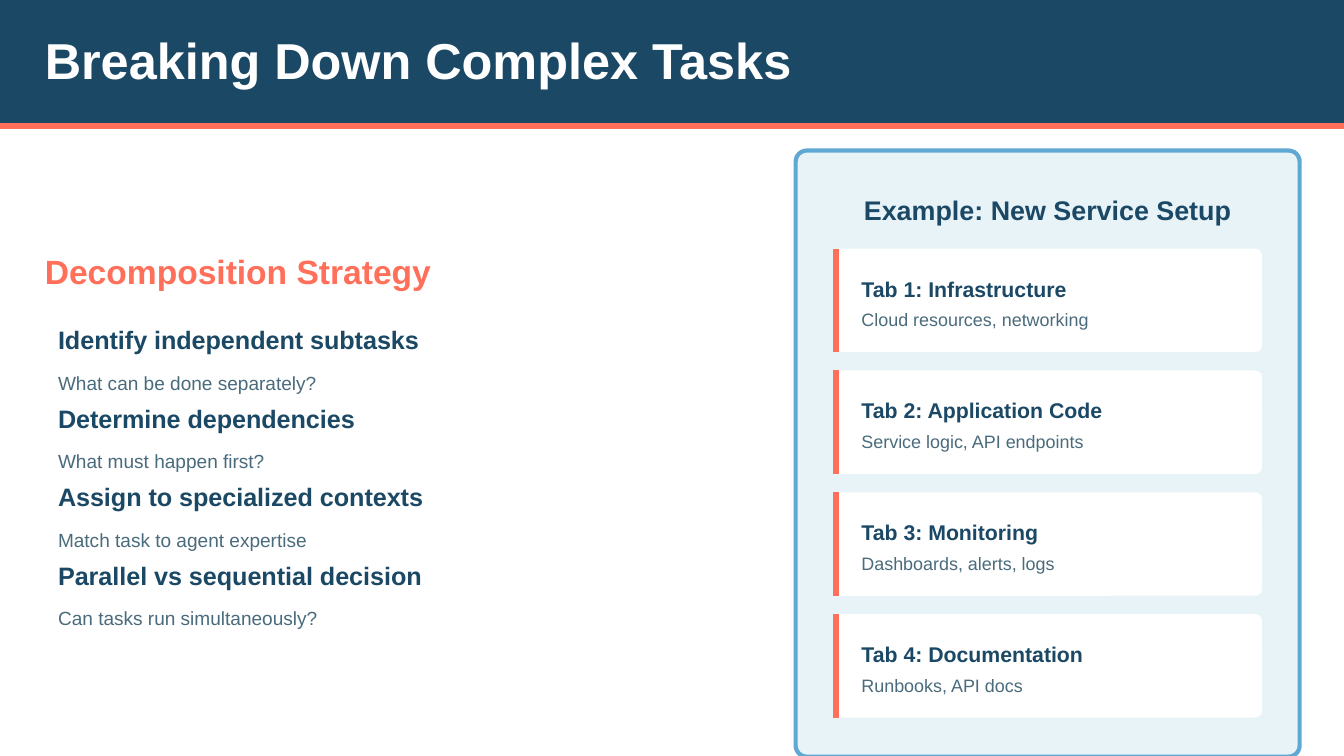
from lxml.etree import SubElement
from pptx import Presentation
from pptx.dml.color import RGBColor
from pptx.enum.shapes import MSO_CONNECTOR, MSO_SHAPE
from pptx.enum.text import PP_ALIGN
from pptx.oxml.ns import qn
from pptx.util import Inches, Pt

NAVY = RGBColor(0x1B, 0x49, 0x65)
CORAL = RGBColor(0xFF, 0x6F, 0x59)
SLATE = RGBColor(0x4A, 0x6B, 0x7C)
SKY = RGBColor(0x5F, 0xA8, 0xD3)
PALE = RGBColor(0xE8, 0xF3, 0xF8)
WHITE = RGBColor(0xFF, 0xFF, 0xFF)
FONT = "Arial"

TITLE = "Breaking Down Complex Tasks"
STRATEGY_TITLE = "Decomposition Strategy"
STRATEGY = [
    ("Identify independent subtasks", "What can be done separately?"),
    ("Determine dependencies", "What must happen first?"),
    ("Assign to specialized contexts", "Match task to agent expertise"),
    ("Parallel vs sequential decision", "Can tasks run simultaneously?"),
]
EXAMPLE_TITLE = "Example: New Service Setup"
TABS = [
    ("Tab 1: Infrastructure", "Cloud resources, networking"),
    ("Tab 2: Application Code", "Service logic, API endpoints"),
    ("Tab 3: Monitoring", "Dashboards, alerts, logs"),
    ("Tab 4: Documentation", "Runbooks, API docs"),
]

WIDTH = 10
HEIGHT = WIDTH * 9 / 16
MARGIN = WIDTH / 30
PANEL_LEFT, PANEL_TOP, PANEL_WIDTH, PANEL_HEIGHT = 5.92, 1.12, 3.75, 4.51
CARD_LEFT, CARD_WIDTH, CARD_HEIGHT = 6.2, 3.19, 0.77
FIRST_CARD, LAST_CARD = 1.85, 4.57
CARD_STEP = (LAST_CARD - FIRST_CARD) / (len(TABS) - 1)

deck = Presentation()
deck.slide_width, deck.slide_height = Inches(WIDTH), Inches(HEIGHT)
page = deck.slides.add_slide(deck.slide_layouts[6])


def add_block(kind, left, top, width, height, fill, corner=None, outline=None):
    shape = page.shapes.add_shape(
        kind, Inches(left), Inches(top), Inches(width), Inches(height))
    shape.shadow.inherit = False
    shape.fill.solid()
    shape.fill.fore_color.rgb = fill
    if corner is not None:
        shape.adjustments[0] = corner
    if outline is None:
        shape.line.fill.background()
    else:
        shape.line.color.rgb = outline
        shape.line.width = Pt(2.25)


def add_rule(start, end):
    rule = page.shapes.add_connector(
        MSO_CONNECTOR.STRAIGHT, *(Inches(value) for value in start + end))
    rule.line.color.rgb = CORAL
    rule.line.width = Pt(3)
    SubElement(rule._element.spPr, qn("a:effectLst"))


def add_frame(left, top, width, height, inset=0):
    box = page.shapes.add_textbox(
        Inches(left), Inches(top), Inches(width), Inches(height))
    frame = box.text_frame
    frame.word_wrap = True
    frame.margin_left = Inches(inset)
    frame.margin_top = frame.margin_right = frame.margin_bottom = 0
    return frame


def style(font, size, color, bold):
    font.name, font.size, font.bold = FONT, Pt(size), bold
    font.color.rgb = color


def add_text(place, text, size, color, spacing, bold=True,
             align=PP_ALIGN.LEFT, before=0, after=0):
    para = add_frame(*place).paragraphs[0]
    para.text = text
    para.alignment = align
    para.line_spacing = Pt(spacing)
    para.space_before, para.space_after = Pt(before), Pt(after)
    style(para.font, size, color, bold)


def add_strategy():
    frame = add_frame(MARGIN, 2.35, 5.08, 2.46, inset=0.1)
    for index, (step, question) in enumerate(STRATEGY):
        para = frame.add_paragraph() if index else frame.paragraphs[0]
        para.line_spacing = Pt(21)
        span = para.add_run()
        span.text = step
        style(span.font, 13.5, NAVY, True)
        para.add_line_break()
        span = para.add_run()
        span.text = question
        style(span.font, 10.2, SLATE, False)


def add_card(top, heading, detail):
    add_block(MSO_SHAPE.ROUNDED_RECTANGLE, CARD_LEFT, top,
              CARD_WIDTH, CARD_HEIGHT, WHITE, corner=0.065)
    edge = CARD_LEFT + 0.02
    add_rule((edge, top), (edge, top + CARD_HEIGHT))
    text_left = CARD_LEFT + 0.21
    add_text((text_left, top + 0.17, 2.87, 0.22), heading, 11.4, NAVY, 16)
    add_text((text_left, top + 0.42, 2.87, 0.19), detail, 9.6, SLATE, 13.4,
             bold=False, before=2.4)


add_block(MSO_SHAPE.RECTANGLE, 0, 0, WIDTH, 0.96, NAVY)
add_rule((0, 0.94), (WIDTH, 0.94))
add_text((MARGIN, 0.25, 5.67, 0.42), TITLE, 27, WHITE, 30)
add_text((MARGIN, 1.87, 5.18, 0.3), STRATEGY_TITLE, 18, CORAL, 21.6, after=18)
add_strategy()

add_block(MSO_SHAPE.ROUNDED_RECTANGLE, PANEL_LEFT, PANEL_TOP,
          PANEL_WIDTH, PANEL_HEIGHT, PALE, corner=0.022, outline=SKY)
add_text((PANEL_LEFT + 0.25, 1.4, PANEL_WIDTH - 0.5, 0.28), EXAMPLE_TITLE,
         14.4, NAVY, 20.2, align=PP_ALIGN.CENTER, after=12)
for row, (heading, detail) in enumerate(TABS):
    add_card(FIRST_CARD + row * CARD_STEP, heading, detail)

deck.save("out.pptx")
